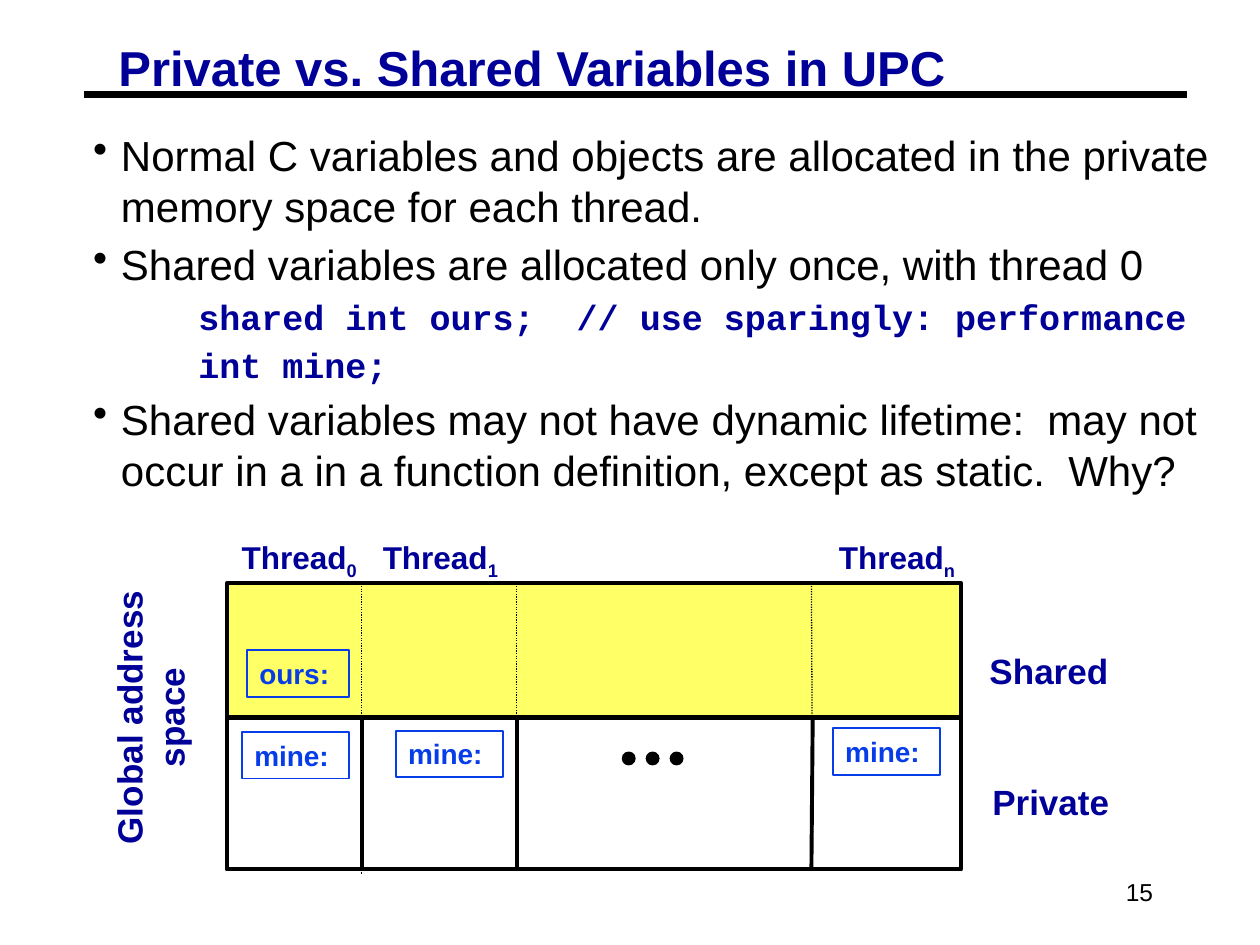
from lxml import etree
from pptx import Presentation
from pptx.dml.color import RGBColor
from pptx.enum.dml import MSO_LINE
from pptx.enum.shapes import MSO_CONNECTOR, MSO_SHAPE
from pptx.enum.text import MSO_ANCHOR, PP_ALIGN
from pptx.oxml.ns import qn
from pptx.util import Inches, Pt

LEFT, CENTER, RIGHT = PP_ALIGN.LEFT, PP_ALIGN.CENTER, PP_ALIGN.RIGHT
TOP, MIDDLE = MSO_ANCHOR.TOP, MSO_ANCHOR.MIDDLE
RECT, OVAL = MSO_SHAPE.RECTANGLE, MSO_SHAPE.OVAL
STRAIGHT, DOT = MSO_CONNECTOR.STRAIGHT, MSO_LINE.ROUND_DOT
BLACK, NAVY, BLUE, YELLOW = "000000", "000099", "063DE8", "FFFF66"

BODY = [
    ("Normal C variables and objects are allocated in the private "
     "memory space for each thread.", False),
    ("Shared variables are allocated only once, with thread 0", False),
    ("     shared int ours;  // use sparingly: performance", True),
    ("     int mine;", True),
    ("Shared variables may not have dynamic lifetime:  may not occur in a "
     "in a function definition, except as static.  Why?", False),
]


def color(code):
    return RGBColor.from_string(code)


def put_run(para, text, size=20, font="Arial", ink=NAVY, bold=True, sub=False):
    run = para.add_run()
    run.text = text
    run.font.size = Pt(size)
    run.font.name = font
    run.font.bold = bold
    run.font.color.rgb = color(ink)
    if sub:
        run._r.get_or_add_rPr().set("baseline", "-25000")


def set_frame(frame, pad=(0.1, 0.05), wrap=False, anchor=TOP):
    frame.margin_left = frame.margin_right = Inches(pad[0])
    frame.margin_top = frame.margin_bottom = Inches(pad[1])
    frame.word_wrap = wrap
    frame.vertical_anchor = anchor


def add_text(slide, text, box, align=LEFT, low="", turn=0, space=None,
             pad=(0.1, 0.05), wrap=False, anchor=TOP, **style):
    shape = slide.shapes.add_textbox(*map(Inches, box))
    shape.rotation = turn
    set_frame(shape.text_frame, pad, wrap, anchor)
    para = shape.text_frame.paragraphs[0]
    para.alignment = align
    para.line_spacing = space
    put_run(para, text, **style)
    if low:
        put_run(para, low, sub=True, **style)


def add_box(slide, kind, box, edge, width, fill=None):
    shape = slide.shapes.add_shape(kind, *map(Inches, box))
    shape.shadow.inherit = False
    if fill:
        shape.fill.solid()
        shape.fill.fore_color.rgb = color(fill)
    else:
        shape.fill.background()
    shape.line.color.rgb = color(edge)
    shape.line.width = Pt(width)
    return shape


def add_tag(slide, text, box):
    shape = add_box(slide, RECT, box, BLUE, 1)
    set_frame(shape.text_frame)
    para = shape.text_frame.paragraphs[0]
    para.alignment = LEFT
    put_run(para, text, size=16, ink=BLUE)


def add_line(slide, start, end, width, dash=None):
    line = slide.shapes.add_connector(STRAIGHT, *map(Inches, start + end))
    line.line.color.rgb = color(BLACK)
    line.line.width = Pt(width)
    if dash:
        line.line.dash_style = dash
    etree.SubElement(line._element.spPr, qn("a:effectLst"))


def set_bullet(para, mark):
    props = para._p.get_or_add_pPr()
    props.set("marL", str(Inches(0.22)))
    props.set("indent", str(Inches(-0.22)))
    if mark:
        etree.SubElement(props, qn("a:buChar"), char=mark)
    else:
        etree.SubElement(props, qn("a:buNone"))


def add_body(slide):
    shape = slide.shapes.add_textbox(*map(Inches, (0.67, 1, 9, 2.95)))
    frame = shape.text_frame
    set_frame(frame, pad=(0.07, 0.03), wrap=True)
    for i, (text, code) in enumerate(BODY):
        para = frame.add_paragraph() if i else frame.paragraphs[0]
        set_bullet(para, None if code else "•")
        if i:
            para.space_before = Pt(3.7 if code else 4.5)
        if code:
            put_run(para, text, font="Courier New")
        else:
            put_run(para, text, size=24, ink=BLACK, bold=False)


def add_memory(slide):
    # Shared and private regions
    add_box(slide, RECT, (1.8, 4.63, 5.83, 1.06), BLACK, 2.25, YELLOW)
    add_box(slide, RECT, (1.8, 5.7, 5.83, 1.2), BLACK, 2.25)

    # Thread borders: dotted when shared, solid when private
    for top, mid, low, end in ((2.87, 2.87, 2.87, 6.94),
                               (4.1, 4.1, 4.1, 6.61),
                               (6.44, 6.45, 6.44, 6.61)):
        add_line(slide, (top, 4.63), (mid, end), 0.75, DOT)
        add_line(slide, (mid, 5.7), (low, 6.9), 2.25)

    # Ellipsis for the threads between
    for i in range(3):
        add_box(slide, OVAL, (4.94 + 0.19 * i, 5.97, 0.1, 0.1),
                BLACK, 0.75, BLACK)

    # Variables
    add_tag(slide, "ours:", (1.96, 5.16, 0.81, 0.37))
    for left, top in ((1.92, 5.81), (3.14, 5.8), (6.61, 5.78)):
        add_tag(slide, "mine:", (left, top, 0.85, 0.37))

    # Thread and region labels
    for left, low in ((1.82, "0"), (2.94, "1"), (6.56, "n")):
        add_text(slide, "Thread", (left, 4.22, 1.13, 0.44), low=low, size=18)
    for text, box in (("Shared", (7.78, 5.07, 1.09, 0.5)),
                      ("Private", (7.81, 6.11, 1.06, 0.5))):
        add_text(slide, text, box, align=CENTER, anchor=MIDDLE,
                 pad=(0, 0.05))
    add_text(slide, "Global address space", (0.06, 5.31, 2.26, 0.77),
             align=CENTER, turn=270, wrap=True)


def main():
    deck = Presentation()
    deck.slide_width, deck.slide_height = Inches(10), Inches(7.5)
    slide = deck.slides.add_slide(deck.slide_layouts[6])

    # Title over its rule
    add_line(slide, (0.67, 0.75), (9.42, 0.75), 3.75)
    add_text(slide, "Private vs. Shared Variables in UPC",
             (0.87, 0.33, 8.54, 0.46), size=28, space=0.87,
             pad=(0.07, 0.03), wrap=True)

    add_body(slide)
    add_memory(slide)

    # Page number
    add_text(slide, "15", (7.17, 6.83, 2.08, 0.5), align=RIGHT, wrap=True,
             anchor=MIDDLE, size=14, ink=BLACK, bold=False)
    deck.save("out.pptx")


if __name__ == "__main__":
    main()
